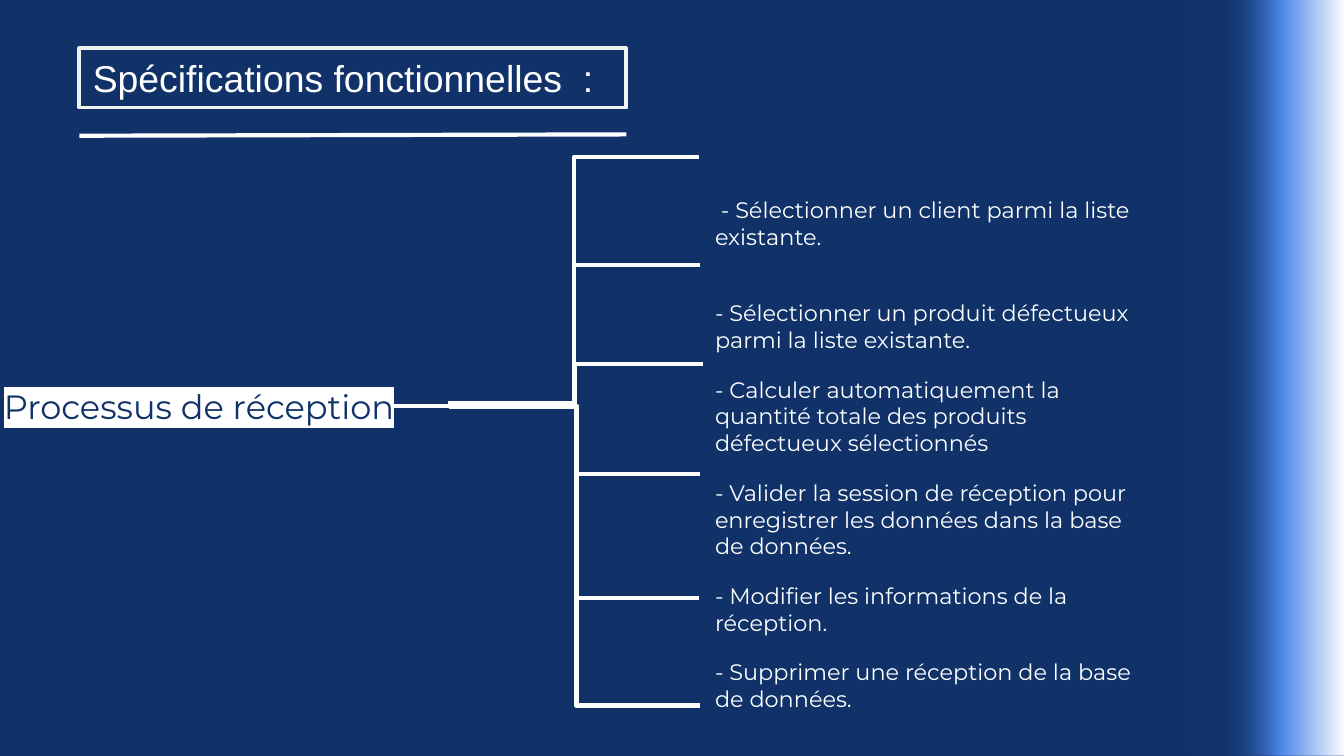
from lxml.etree import SubElement
from pptx import Presentation
from pptx.dml.color import RGBColor
from pptx.enum.shapes import MSO_CONNECTOR, MSO_SHAPE
from pptx.enum.text import MSO_ANCHOR, MSO_AUTO_SIZE, PP_ALIGN
from pptx.oxml.ns import qn
from pptx.util import Inches, Pt

NAVY = RGBColor(0x10, 0x32, 0x69)
DEEP = RGBColor(0x1C, 0x45, 0x87)
BLUE = RGBColor(0x4A, 0x86, 0xE8)
WHITE = RGBColor(0xFF, 0xFF, 0xFF)
PALE = RGBColor(0xF1, 0xF2, 0xF2)

# Position %, colour, opacity %
GLOW = [(0, DEEP, 0), (32, DEEP, 15), (63, BLUE, 100), (100, WHITE, 100)]

STEPS = [
    " - Sélectionner un client parmi la liste existante.",
    "- Sélectionner un produit défectueux parmi la liste existante.",
    "- Calculer automatiquement la quantité totale des produits défectueux sélectionnés",
    "- Valider la session de réception pour enregistrer les données dans la base de données.",
    "- Modifier les informations de la réception.",
    "- Supprimer une réception de la base de données.",
]

# Start x, start y, end x, end y, x of the upright part
BRANCHES = [
    (3.34, 3.03, 5.2, 1.17, 4.27),
    (3.33, 3, 5.21, 1.97, 4.27),
    (3.38, 3, 5.23, 2.71, 4.28),
    (3.38, 3.03, 5.21, 3.53, 4.29),
    (3.38, 3.03, 5.2, 4.45, 4.29),
    (2.88, 3.02, 5.21, 5.25, 4.29),
]


def write(p, text, font="Montserrat", size=12, color=WHITE, highlight=None,
          before=0, after=0):
    p.alignment = PP_ALIGN.LEFT
    p.space_before, p.space_after = Pt(before), Pt(after)
    r = p.add_run()
    r.text = text
    r.font.size = Pt(size)
    r.font.color.rgb = color
    if highlight is not None:
        mark = SubElement(r.font._element, qn("a:highlight"))
        SubElement(mark, qn("a:srgbClr"), val=str(highlight))
    r.font.name = font


class Slide:
    def __init__(self, prs):
        self.s = prs.slides.add_slide(prs.slide_layouts[1])
        fill = self.s.background.fill
        fill.solid()
        fill.fore_color.rgb = NAVY

    def frame(self, sp, box, anchor, margins=(0.1, 0.1, 0.1, 0.1)):
        """Place a text shape and return its prepared text frame."""
        sp.left, sp.top, sp.width, sp.height = map(Inches, box)
        tf = sp.text_frame
        tf.word_wrap = True
        tf.auto_size = MSO_AUTO_SIZE.NONE
        tf.vertical_anchor = anchor
        (tf.margin_left, tf.margin_top,
         tf.margin_right, tf.margin_bottom) = map(Inches, margins)
        return tf

    def title(self, text, box):
        sp = self.s.shapes.title
        sp.fill.solid()
        sp.fill.fore_color.rgb = NAVY
        sp.line.color.rgb = PALE
        sp.line.width = Pt(2)
        tf = self.frame(sp, box, MSO_ANCHOR.MIDDLE, (0.1, 0.05, 0.1, 0.05))
        write(tf.paragraphs[0], text, font="Arial", size=20)

    def steps(self, texts, box):
        tf = self.frame(self.s.placeholders[1], box, MSO_ANCHOR.TOP)
        for i, text in enumerate(texts):
            p = tf.paragraphs[0] if i == 0 else tf.add_paragraph()
            pPr = p._p.get_or_add_pPr()
            pPr.set("marL", "0")
            pPr.set("indent", "0")
            SubElement(pPr, qn("a:buNone"))
            write(p, text, before=14.6 if i == 1 else 0, after=12)

    def glow(self, box, stops):
        sp = self.s.shapes.add_shape(MSO_SHAPE.RECTANGLE, *map(Inches, box))
        sp.shadow.inherit = False
        sp.line.fill.background()
        sp.fill.gradient()
        sp.fill.gradient_angle = 0
        gs_list = sp._element.spPr.find(qn("a:gradFill")).find(qn("a:gsLst"))
        for gs in list(gs_list):
            gs_list.remove(gs)
        for pos, color, opacity in stops:
            gs = SubElement(gs_list, qn("a:gs"), pos=str(pos * 1000))
            clr = SubElement(gs, qn("a:srgbClr"), val=str(color))
            SubElement(clr, qn("a:alpha"), val=str(opacity * 1000))

    def line(self, x1, y1, x2, y2, bend_x=None):
        kind = MSO_CONNECTOR.STRAIGHT if bend_x is None else MSO_CONNECTOR.ELBOW
        c = self.s.shapes.add_connector(kind, *map(Inches, (x1, y1, x2, y2)))
        c.line.color.rgb = WHITE
        c.line.width = Pt(2.25)
        spPr = c._element.spPr
        SubElement(spPr, qn("a:effectLst"))
        if bend_x is not None:
            guides = spPr.find(qn("a:prstGeom")).find(qn("a:avLst"))
            share = round((bend_x - x1) / (x2 - x1) * 100000)
            SubElement(guides, qn("a:gd"), name="adj1", fmla=f"val {share}")

    def label(self, text, box):
        sp = self.s.shapes.add_textbox(*map(Inches, box))
        tf = self.frame(sp, box, MSO_ANCHOR.BOTTOM, (0.03, 0.1, 0.1, 0.1))
        write(tf.paragraphs[0], text, size=18, color=NAVY, highlight=WHITE)


def main():
    prs = Presentation()
    prs.slide_width = Inches(10)
    prs.slide_height = prs.slide_width * 9 // 16
    slide = Slide(prs)
    slide.glow((8.71, 0, 1.29, 5.62), GLOW)
    slide.title("Spécifications fonctionnelles  :", (0.59, 0.36, 4.07, 0.44))
    slide.line(0.59, 1.01, 4.66, 1)
    slide.steps(STEPS, (5.22, 1.36, 3.31, 4.04))
    for branch in BRANCHES:
        slide.line(*branch)
    slide.label("Processus de réception", (0, 2.73, 4.03, 0.54))
    prs.save("out.pptx")


if __name__ == "__main__":
    main()
